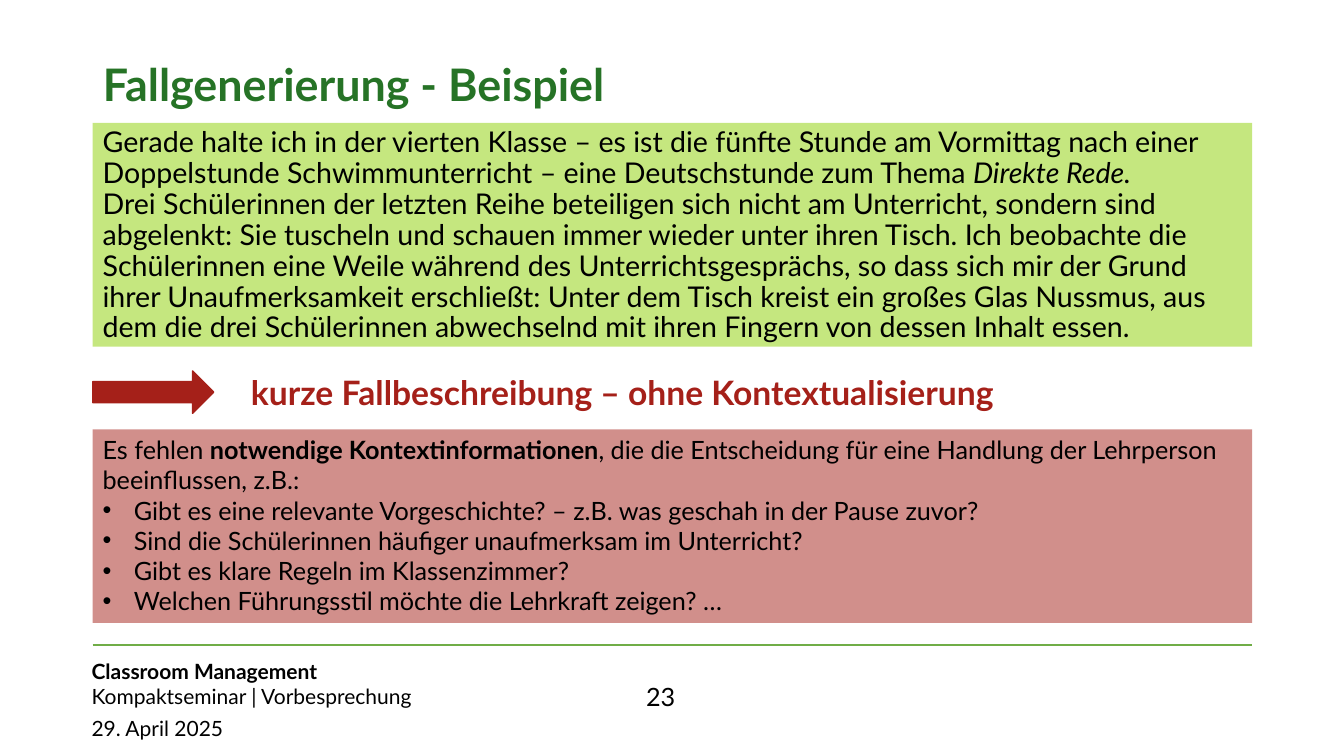
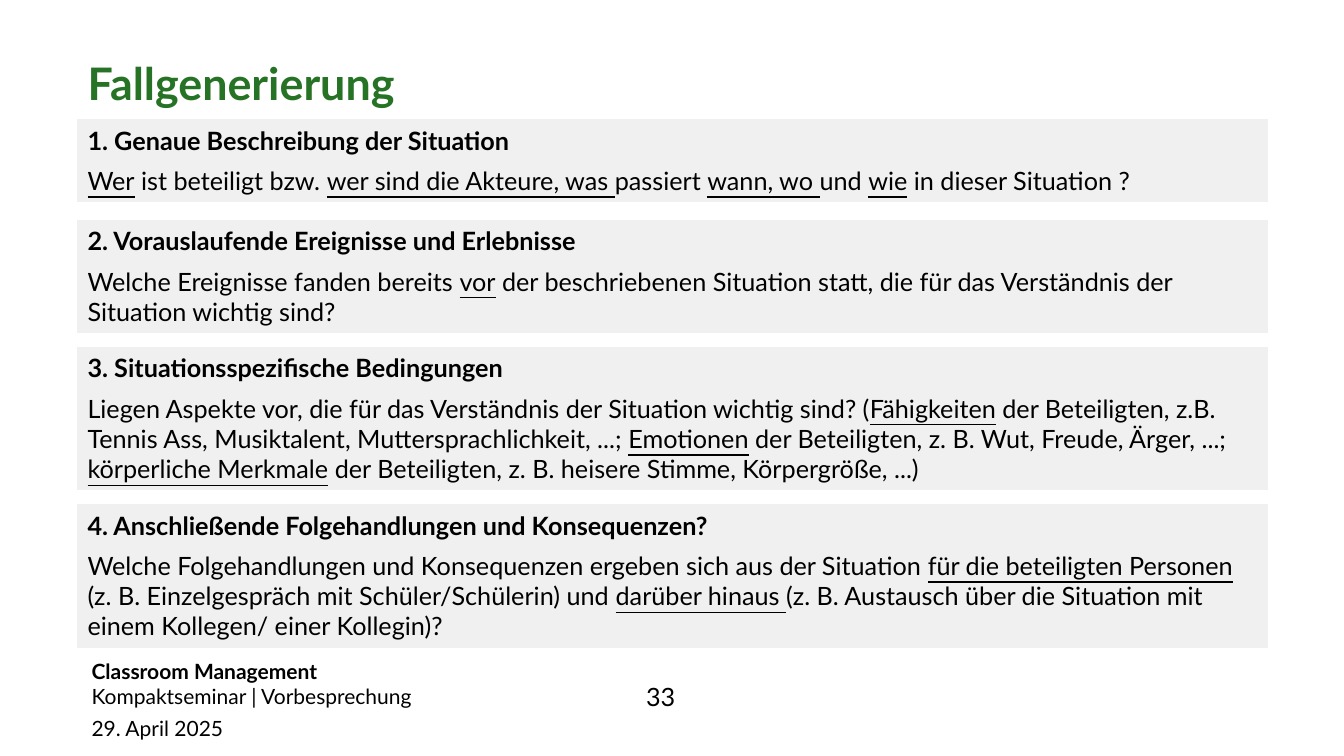
from lxml import etree
from pptx import Presentation
from pptx.dml.color import RGBColor
from pptx.enum.shapes import MSO_CONNECTOR, MSO_SHAPE
from pptx.enum.text import MSO_ANCHOR, MSO_AUTO_SIZE, PP_ALIGN
from pptx.oxml.ns import qn
from pptx.util import Inches, Pt

# Shared style
FONT = "Lato"
BLACK = RGBColor(0x00, 0x00, 0x00)
TITLE_GREEN = RGBColor(0x26, 0x73, 0x26)
CASE_GREEN = RGBColor(0x8C, 0xD0, 0x00)
RULE_GREEN = RGBColor(0x70, 0xAD, 0x47)
RED = RGBColor(0xA5, 0x20, 0x19)
GREY = RGBColor(0xF0, 0xF0, 0xF0)
TITLE_ONLY = 5
MARGIN, CONTENT_WIDTH = 0.92, 11.5
FOOTER_LEFT, FOOTER_SIZE = 0.81, 15
BODY_SIZE, CASE_SIZE = 18, 20.4

# Text between underscores is emphasised
CASE_TEXT = [
    "Gerade halte ich in der vierten Klasse – es ist die fünfte Stunde am "
    "Vormittag nach einer Doppelstunde Schwimmunterricht – eine Deutschstunde "
    "zum Thema _Direkte Rede._",
    "Drei Schülerinnen der letzten Reihe beteiligen sich nicht am Unterricht, "
    "sondern sind abgelenkt: Sie tuscheln und schauen immer wieder unter ihren "
    "Tisch. Ich beobachte die Schülerinnen eine Weile während des "
    "Unterrichtsgesprächs, so dass sich mir der Grund ihrer Unaufmerksamkeit "
    "erschließt: Unter dem Tisch kreist ein großes Glas Nussmus, aus dem die "
    "drei Schülerinnen abwechselnd mit ihren Fingern von dessen Inhalt essen.",
]
MISSING_CONTEXT = (
    "Es fehlen _notwendige Kontextinformationen_, die die Entscheidung für eine "
    "Handlung der Lehrperson beeinflussen, z.B.:"
)
CONTEXT_QUESTIONS = [
    "Gibt es eine relevante Vorgeschichte? – z.B. was geschah in der Pause zuvor?",
    "Sind die Schülerinnen häufiger unaufmerksam im Unterricht?",
    "Gibt es klare Regeln im Klassenzimmer?",
    "Welchen Führungsstil möchte die Lehrkraft zeigen? …",
]

# Top, lines of question text, heading, question
SECTIONS = [
    (1.19, 1, "1. Genaue Beschreibung der Situation",
     "_Wer_ ist beteiligt bzw. _wer sind die Akteure, was _passiert "
     "_wann, wo _und _wie_ in dieser Situation ?"),
    (2.19, 2, "2. Vorauslaufende Ereignisse und Erlebnisse",
     "Welche Ereignisse fanden bereits _vor_ der beschriebenen Situation statt, "
     "die für das Verständnis der Situation wichtig sind?"),
    (3.45, 3, "3. Situationsspezifische Bedingungen",
     "Liegen Aspekte vor, die für das Verständnis der Situation wichtig sind? "
     "(_Fähigkeiten_ der Beteiligten, z.B. Tennis Ass, Musiktalent, "
     "Muttersprachlichkeit, ...; _Emotionen_ der Beteiligten, z. B. Wut, Freude, "
     "Ärger, ...; _körperliche Merkmale_ der Beteiligten, z. B. heisere Stimme, "
     "Körpergröße, ...)"),
    (5.01, 3, "4. Anschließende Folgehandlungen und Konsequenzen?",
     "Welche Folgehandlungen und Konsequenzen ergeben sich aus der Situation "
     "_für die beteiligten Personen _(z. B. Einzelgespräch mit "
     "Schüler/Schülerin) und _darüber hinaus _(z. B. Austausch über die "
     "Situation mit einem Kollegen/ einer Kollegin)?"),
]


# Text helpers
def add_run(paragraph, text, size, color=BLACK, bold=False, italic=False,
            underline=False):
    run = paragraph.add_run()
    run.text = text
    font = run.font
    font.name, font.size = FONT, Pt(size)
    font.bold, font.italic, font.underline = bold, italic, underline
    font.color.rgb = color


def add_marked(paragraph, text, size, **emphasis):
    for index, part in enumerate(text.split("_")):
        if part:
            add_run(paragraph, part, size, **(emphasis if index % 2 else {}))


def next_paragraph(frame):
    first = frame.paragraphs[0]
    paragraph = frame.add_paragraph() if first.runs else first
    paragraph.alignment = PP_ALIGN.LEFT
    return paragraph


def add_bullet(paragraph, indent=0.31):
    properties = paragraph._p.get_or_add_pPr()
    properties.set("marL", str(Inches(indent)))
    properties.set("indent", str(-Inches(indent)))
    etree.SubElement(properties, qn("a:buFont"), typeface="Arial")
    etree.SubElement(properties, qn("a:buChar"), char="•")


def add_text_frame(slide, left, top, width, height, anchor=MSO_ANCHOR.TOP):
    frame = slide.shapes.add_textbox(
        Inches(left), Inches(top), Inches(width), Inches(height)).text_frame
    frame.word_wrap = True
    frame.vertical_anchor = anchor
    return frame


# Shape helpers
def add_block(slide, left, top, width, height, color, opacity=100, outline=None,
              kind=MSO_SHAPE.RECTANGLE):
    block = slide.shapes.add_shape(
        kind, Inches(left), Inches(top), Inches(width), Inches(height))
    block.shadow.inherit = False
    block.fill.solid()
    block.fill.fore_color.rgb = color
    if opacity < 100:
        fill_color = block._element.spPr.find(qn("a:solidFill"))[0]
        etree.SubElement(fill_color, qn("a:alpha"), val=str(opacity * 1000))
    if outline:
        block.line.color.rgb = color
        block.line.width = Pt(outline)
    else:
        block.line.fill.background()
    block.text_frame.word_wrap = True
    block.text_frame.vertical_anchor = MSO_ANCHOR.TOP
    return block


def add_rule(slide, top):
    rule = slide.shapes.add_connector(
        MSO_CONNECTOR.STRAIGHT, Inches(MARGIN), Inches(top),
        Inches(MARGIN + CONTENT_WIDTH), Inches(top))
    rule.line.color.rgb = RULE_GREEN
    rule.line.width = Pt(1)
    etree.SubElement(rule._element.spPr, qn("a:effectLst"))


# Slide frame
def add_title(slide, text, left, top):
    title = slide.shapes.title
    title.left, title.top = Inches(left), Inches(top)
    title.width, title.height = Inches(CONTENT_WIDTH), Inches(0.92)
    frame = title.text_frame
    frame.auto_size = MSO_AUTO_SIZE.NONE
    frame.vertical_anchor = MSO_ANCHOR.MIDDLE
    paragraph = next_paragraph(frame)
    paragraph.line_spacing = 0.9
    add_run(paragraph, text, 32, TITLE_GREEN, bold=True)


def add_footer(slide, number):
    seminar = add_text_frame(slide, FOOTER_LEFT, 6.42, 6.99, 0.72,
                             MSO_ANCHOR.MIDDLE)
    add_run(next_paragraph(seminar), "Classroom Management", FOOTER_SIZE, bold=True)
    add_run(next_paragraph(seminar), "Kompaktseminar | Vorbesprechung", FOOTER_SIZE)
    date = add_text_frame(slide, FOOTER_LEFT, 7.05, 1.96, 0.4)
    add_run(next_paragraph(date), "29. April 2025", FOOTER_SIZE)
    page = add_text_frame(slide, 6.31, 6.71, 0.71, 0.4)
    add_run(next_paragraph(page), str(number), BODY_SIZE)


def start_slide(deck, title, left, top, number):
    slide = deck.slides.add_slide(deck.slide_layouts[TITLE_ONLY])
    add_title(slide, title, left, top)
    add_footer(slide, number)
    return slide


# Slides
def build_example(deck):
    slide = start_slide(deck, "Fallgenerierung - Beispiel", MARGIN, 0.4, 23)
    add_rule(slide, 6.4)

    case = add_block(slide, MARGIN, 1.22, CONTENT_WIDTH, 2.22, CASE_GREEN, 50)
    for text in CASE_TEXT:
        paragraph = next_paragraph(case.text_frame)
        paragraph.line_spacing = 0.9
        add_marked(paragraph, text, CASE_SIZE, italic=True)

    add_block(slide, MARGIN, 3.68, 1.2, 0.42, RED, outline=1,
              kind=MSO_SHAPE.RIGHT_ARROW)
    verdict = add_text_frame(slide, 2.39, 3.64, 7.92, 0.5)
    add_run(next_paragraph(verdict),
            "kurze Fallbeschreibung – ohne Kontextualisierung", 24, RED, bold=True)

    context = add_block(slide, MARGIN, 4.26, CONTENT_WIDTH, 1.92, RED, 50).text_frame
    add_marked(next_paragraph(context), MISSING_CONTEXT, BODY_SIZE, bold=True)
    for question in CONTEXT_QUESTIONS:
        paragraph = next_paragraph(context)
        add_bullet(paragraph)
        add_run(paragraph, question, BODY_SIZE)


def build_steps(deck):
    slide = start_slide(deck, "Fallgenerierung", 0.77, 0.39, 33)
    for top, lines, heading, question in SECTIONS:
        section = add_block(slide, 0.77, top, 11.8, 0.51 + 0.3 * lines, GREY,
                            outline=0.75).text_frame
        paragraph = next_paragraph(section)
        paragraph.space_after = Pt(7.2)
        add_run(paragraph, heading, BODY_SIZE, bold=True)
        add_marked(next_paragraph(section), question, BODY_SIZE, underline=True)


def main():
    deck = Presentation()
    deck.slide_width, deck.slide_height = Inches(13.33), Inches(7.5)
    build_example(deck)
    build_steps(deck)
    deck.save("out.pptx")


if __name__ == "__main__":
    main()
